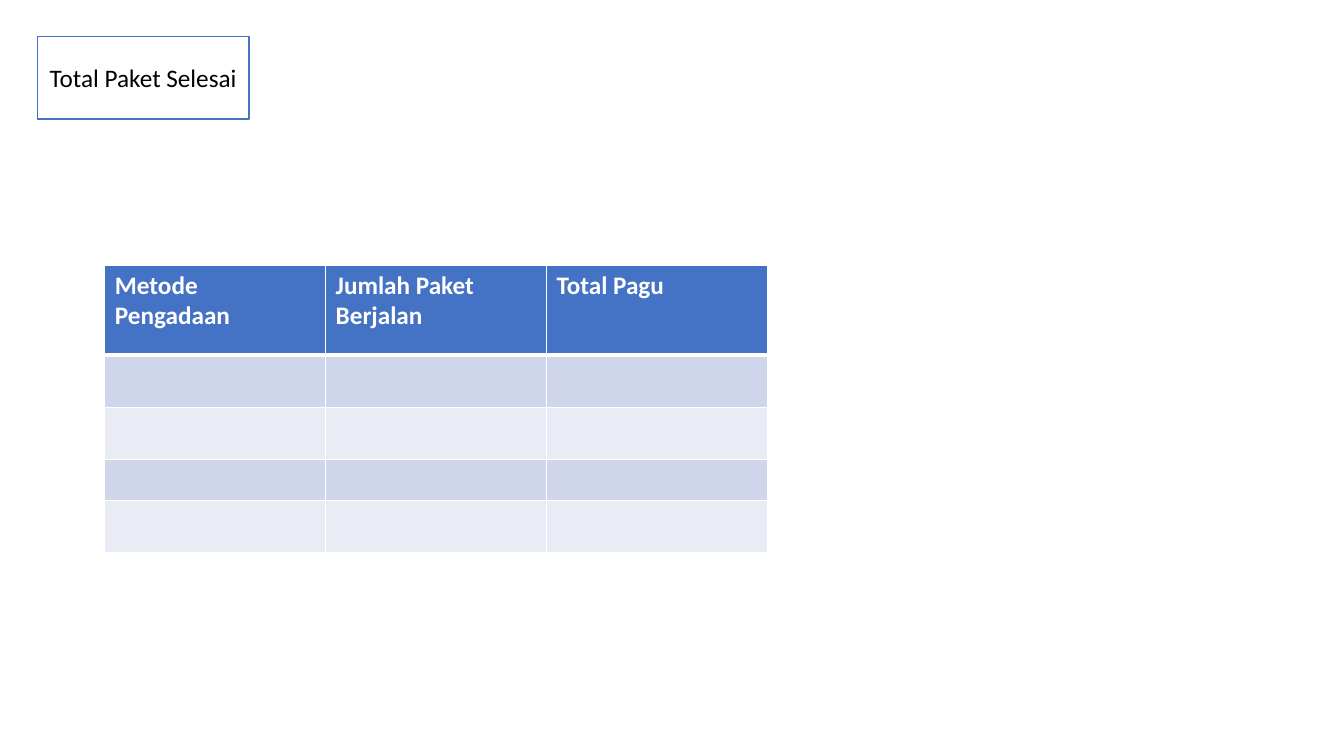
from dataclasses import dataclass

from lxml.etree import SubElement
from pptx import Presentation
from pptx.dml.color import RGBColor
from pptx.enum.shapes import MSO_SHAPE
from pptx.enum.text import MSO_ANCHOR, PP_ALIGN
from pptx.oxml.ns import qn
from pptx.util import Inches, Pt


@dataclass(frozen=True)
class Theme:
    """Colours, font and sizes of the slide."""

    accent: str = "4472C4"
    white: str = "FFFFFF"
    black: str = "000000"
    bands: tuple = ("CFD5EA", "E9EBF5")
    font: str = "Calibri"
    text_size: int = 18
    rule: int = 1
    header_rule: int = 3


THEME = Theme()
HEADINGS = ("Metode Pengadaan", "Jumlah Paket Berjalan", "Total Pagu")
COLUMN_WIDTH = 2.19
ROW_HEIGHTS = (0.89, 0.52, 0.52, 0.4, 0.52)


def rgb(code):
    """Turn a hex code into a colour."""
    return RGBColor.from_string(code)


def paint(target, code):
    """Give a shape or cell a solid fill."""
    target.fill.solid()
    target.fill.fore_color.rgb = rgb(code)


def style_paragraph(paragraph, color, bold=False):
    """Set the theme font on a paragraph."""
    font = paragraph.font
    font.name = THEME.font
    font.size = Pt(THEME.text_size)
    font.bold = bold
    font.color.rgb = rgb(color)


def border_cell(cell, top, bottom):
    """Draw white rules on all four sides of a cell."""
    properties = cell._tc.get_or_add_tcPr()
    widths = {"a:lnL": THEME.rule, "a:lnR": THEME.rule, "a:lnT": top, "a:lnB": bottom}
    for tag, width in widths.items():
        line = SubElement(properties, qn(tag), w=str(Pt(width)))
        fill = SubElement(line, qn("a:solidFill"))
        SubElement(fill, qn("a:srgbClr"), val=THEME.white)


def add_label(slide, text, left, top, width, height):
    """Add an outlined box with centred text."""
    label = slide.shapes.add_shape(
        MSO_SHAPE.RECTANGLE, Inches(left), Inches(top), Inches(width), Inches(height)
    )
    label.shadow.inherit = False
    paint(label, THEME.white)
    label.line.color.rgb = rgb(THEME.accent)
    label.line.width = Pt(THEME.rule)
    frame = label.text_frame
    frame.word_wrap = True
    frame.vertical_anchor = MSO_ANCHOR.MIDDLE
    paragraph = frame.paragraphs[0]
    paragraph.text = text
    paragraph.alignment = PP_ALIGN.CENTER
    style_paragraph(paragraph, THEME.black)


def add_package_table(slide, left, top):
    """Add the procurement table with a header and banded empty rows."""
    table = slide.shapes.add_table(
        len(ROW_HEIGHTS), len(HEADINGS), Inches(left), Inches(top),
        Inches(COLUMN_WIDTH * len(HEADINGS)), Inches(sum(ROW_HEIGHTS)),
    ).table
    for column in table.columns:
        column.width = Inches(COLUMN_WIDTH)
    for index, height in enumerate(ROW_HEIGHTS):
        row = table.rows[index]
        row.height = Inches(height)
        above = THEME.header_rule if index == 1 else THEME.rule
        below = THEME.header_rule if index == 0 else THEME.rule
        color = THEME.bands[(index - 1) % 2] if index else THEME.accent
        for cell in row.cells:
            border_cell(cell, above, below)
            paint(cell, color)
    for cell, heading in zip(table.rows[0].cells, HEADINGS):
        cell.text = heading
        style_paragraph(cell.text_frame.paragraphs[0], THEME.white, bold=True)


def main():
    """Build and save the slide."""
    presentation = Presentation()
    presentation.slide_width = Inches(13.33)
    presentation.slide_height = Inches(7.5)
    slide = presentation.slides.add_slide(presentation.slide_layouts[6])
    add_label(slide, "Total Paket Selesai", 0.37, 0.36, 2.1, 0.82)
    add_package_table(slide, 1.04, 2.63)
    presentation.save("out.pptx")


if __name__ == "__main__":
    main()
